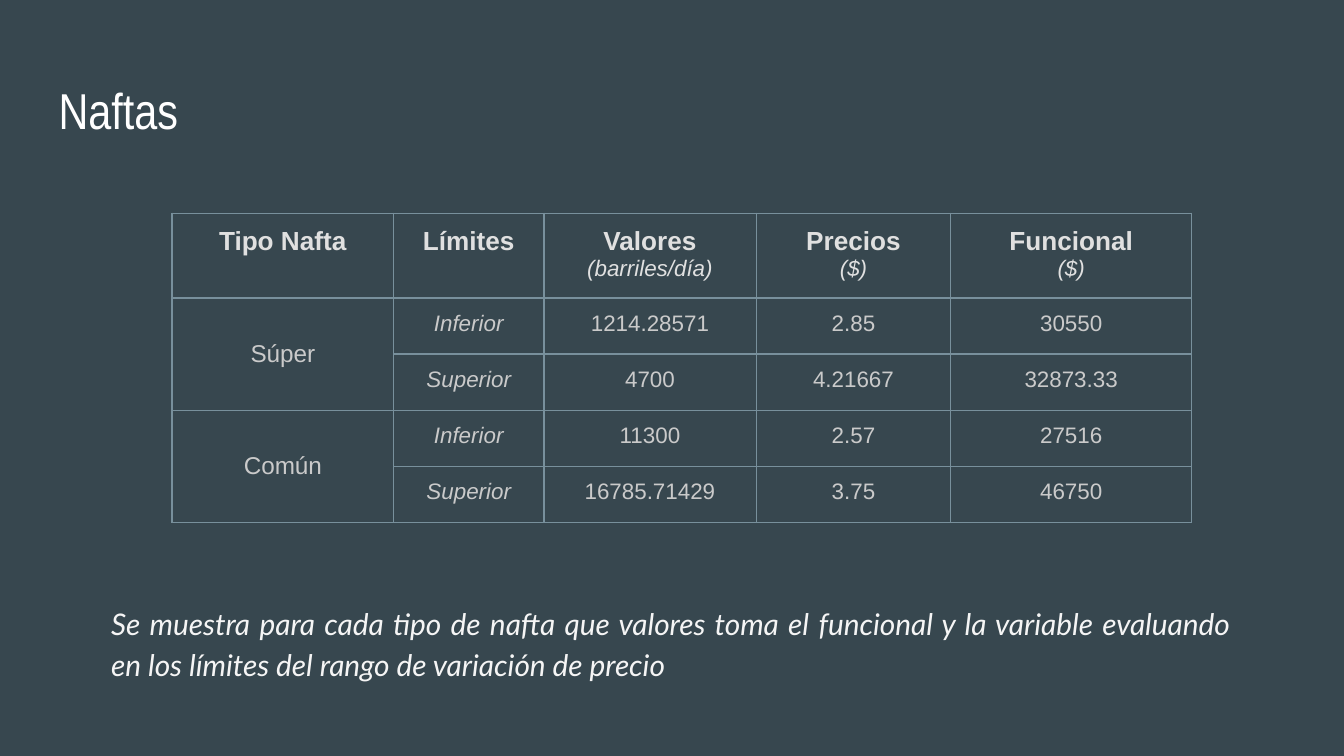
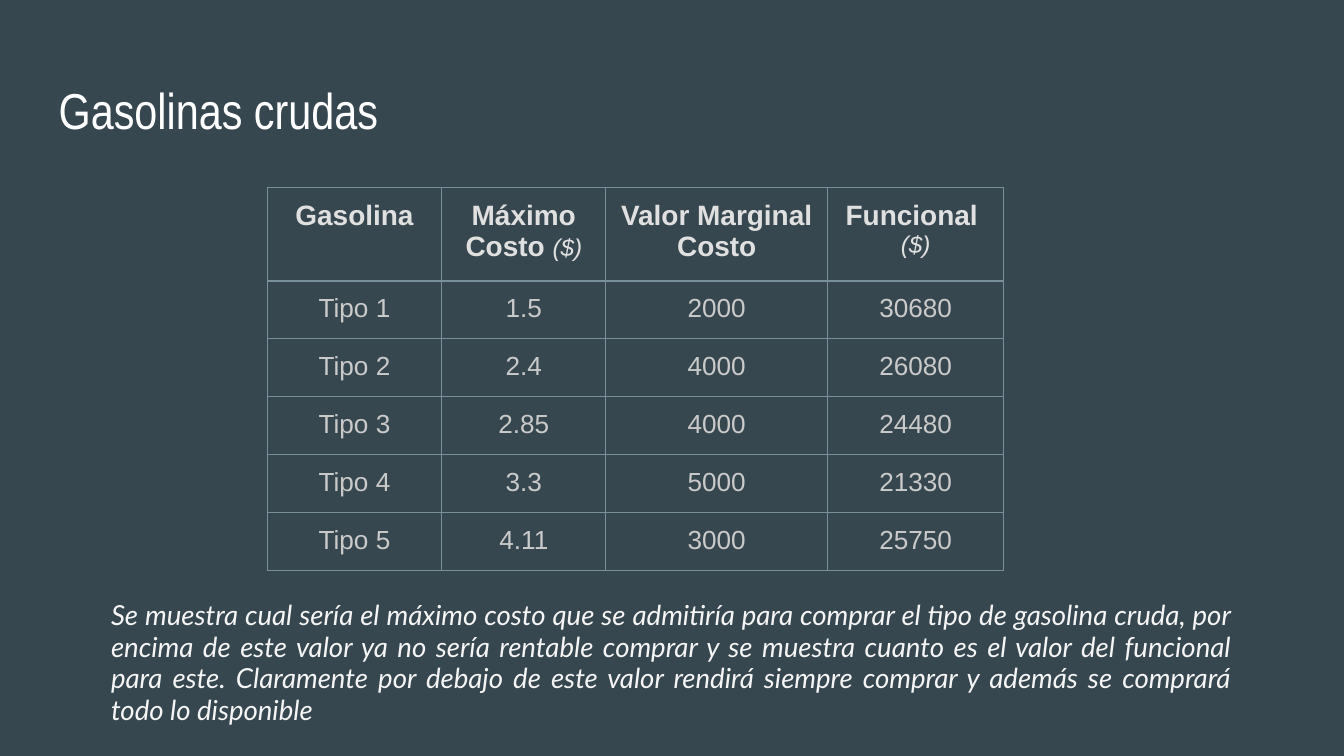
from lxml import etree
from pptx import Presentation
from pptx.dml.color import RGBColor
from pptx.enum.text import MSO_ANCHOR, PP_ALIGN
from pptx.oxml.ns import qn
from pptx.util import Cm, Pt

MID = MSO_ANCHOR.MIDDLE
LEFT, CENTER, JUST = PP_ALIGN.LEFT, PP_ALIGN.CENTER, PP_ALIGN.JUSTIFY
HEX = {"back": "37474F", "title": "FFFFFF", "head": "E0E0E0",
       "body": "CACACA", "note": "F5F5F5", "line": "78909C"}
PAD = Cm(0.25)
ROW = 1.06

PAGES = [
    {"title": "Naftas", "left": 3.25, "top": 4.03, "tall": 1.55,
     "cols": [4.19, 2.84, 4.01, 3.68, 4.55],
     "sizes": (14, 12), "first": 13, "body": 12, "slant": 1,
     "spans": [(1, 2), (3, 4)],
     "rows": [
         ["Tipo Nafta", "Límites", "Valores\n(barriles/día)", "Precios\n($)", "Funcional\n($)"],
         ["Súper", "Inferior", "1214.28571", "2.85", "30550"],
         ["", "Superior", "4700", "4.21667", "32873.33"],
         ["Común", "Inferior", "11300", "2.57", "27516"],
         ["", "Superior", "16785.71429", "3.75", "46750"]],
     "note": "Se muestra para cada tipo de nafta que valores toma el funcional y la variable "
             "evaluando en los límites del rango de variación de precio",
     "high": 2.21, "size": 16, "pitch": 1.15},
    {"title": "Gasolinas crudas", "left": 5.05, "top": 3.54, "tall": 1.68,
     "cols": [3.3, 3.1, 4.19, 3.33],
     "sizes": (15, 13), "first": 14, "body": 14, "slant": None,
     "spans": [],
     "rows": [
         ["Gasolina", "Máximo Costo ($)", "Valor Marginal Costo", "Funcional \n($)"],
         ["Tipo 1", "1.5", "2000", "30680"],
         ["Tipo 2", "2.4", "4000", "26080"],
         ["Tipo 3", "2.85", "4000", "24480"],
         ["Tipo 4", "3.3", "5000", "21330"],
         ["Tipo 5", "4.11", "3000", "25750"]],
     "note": "Se muestra cual sería el máximo costo que se admitiría para comprar el tipo de "
             "gasolina cruda, por encima de este valor ya no sería rentable comprar y se muestra "
             "cuanto es el valor del funcional para este. Claramente por debajo de este valor "
             "rendirá siempre comprar y además se comprará todo lo disponible",
     "high": 3.02, "size": 14.8, "pitch": 0.95},
]


def style(run, face, size, tone, bold=False, slant=False):
    font = run.font
    font.name, font.size = face, Pt(size)
    font.bold, font.italic = bold, slant
    font.color.rgb = RGBColor.from_string(HEX[tone])


def write(slide, spot, text, face, size, tone, align, slant=False):
    box = slide.shapes.add_textbox(*[Cm(n) for n in spot])
    frame = box.text_frame
    frame.word_wrap = True
    frame.margin_left = frame.margin_right = PAD
    frame.margin_top = frame.margin_bottom = PAD
    frame.text = text
    para = frame.paragraphs[0]
    para.alignment = align
    style(para.runs[0], face, size, tone, slant=slant)
    return para


deck = Presentation()
deck.slide_width, deck.slide_height = Cm(25.4), Cm(14.29)

for page in PAGES:
    slide = deck.slides.add_slide(deck.slide_layouts[6])
    fill = slide.background.fill
    fill.solid()
    fill.fore_color.rgb = RGBColor.from_string(HEX["back"])
    write(slide, (0.86, 1.24, 23.67, 1.6), page["title"], "Arial Narrow", 27, "title", LEFT)

    rows, cols = page["rows"], page["cols"]
    highs = [page["tall"]] + [ROW] * (len(rows) - 1)
    table = slide.shapes.add_table(
        len(rows), len(cols), Cm(page["left"]), Cm(page["top"]),
        Cm(sum(cols)), Cm(sum(highs))).table
    table.first_row = table.horz_banding = False
    for col, wide in zip(table.columns, cols):
        col.width = Cm(wide)
    for row, high in zip(table.rows, highs):
        row.height = Cm(high)
    for start, end in page["spans"]:
        table.cell(start, 0).merge(table.cell(end, 0))
        table.cell(start, 0).vertical_anchor = MID

    for r, row in enumerate(rows):
        for c, text in enumerate(row):
            cell = table.cell(r, c)
            cell.margin_left = cell.margin_right = PAD
            cell.margin_top = cell.margin_bottom = PAD
            props = cell._tc.get_or_add_tcPr()
            for side in ("lnL", "lnR", "lnT", "lnB"):
                line = etree.SubElement(props, qn("a:" + side), w=str(Pt(0.75)))
                paint = etree.SubElement(line, qn("a:solidFill"))
                etree.SubElement(paint, qn("a:srgbClr"), val=HEX["line"])
            cell.fill.background()
            cell.text_frame.text = text
            for para in cell.text_frame.paragraphs:
                para.alignment = CENTER
                if r:
                    size = page["body"] if c else page["first"]
                    for run in para.runs or [para.add_run()]:
                        style(run, "Arial", size, "body", slant=c == page["slant"])
                    continue
                name, mark, unit = para.text.partition("(")
                para.clear()
                big, small = page["sizes"]
                if name:
                    run = para.add_run()
                    run.text = name
                    style(run, "Arial", big, "head", bold=True)
                if mark:
                    run = para.add_run()
                    run.text = mark + unit
                    style(run, "Arial", small, "head", slant=True)

    para = write(slide, (1.85, 11.1, 21.67, page["high"]), page["note"],
                 "Lato", page["size"], "note", JUST, True)
    para.line_spacing = page["pitch"]
    para.space_after = Pt(12)

deck.save("out.pptx")
